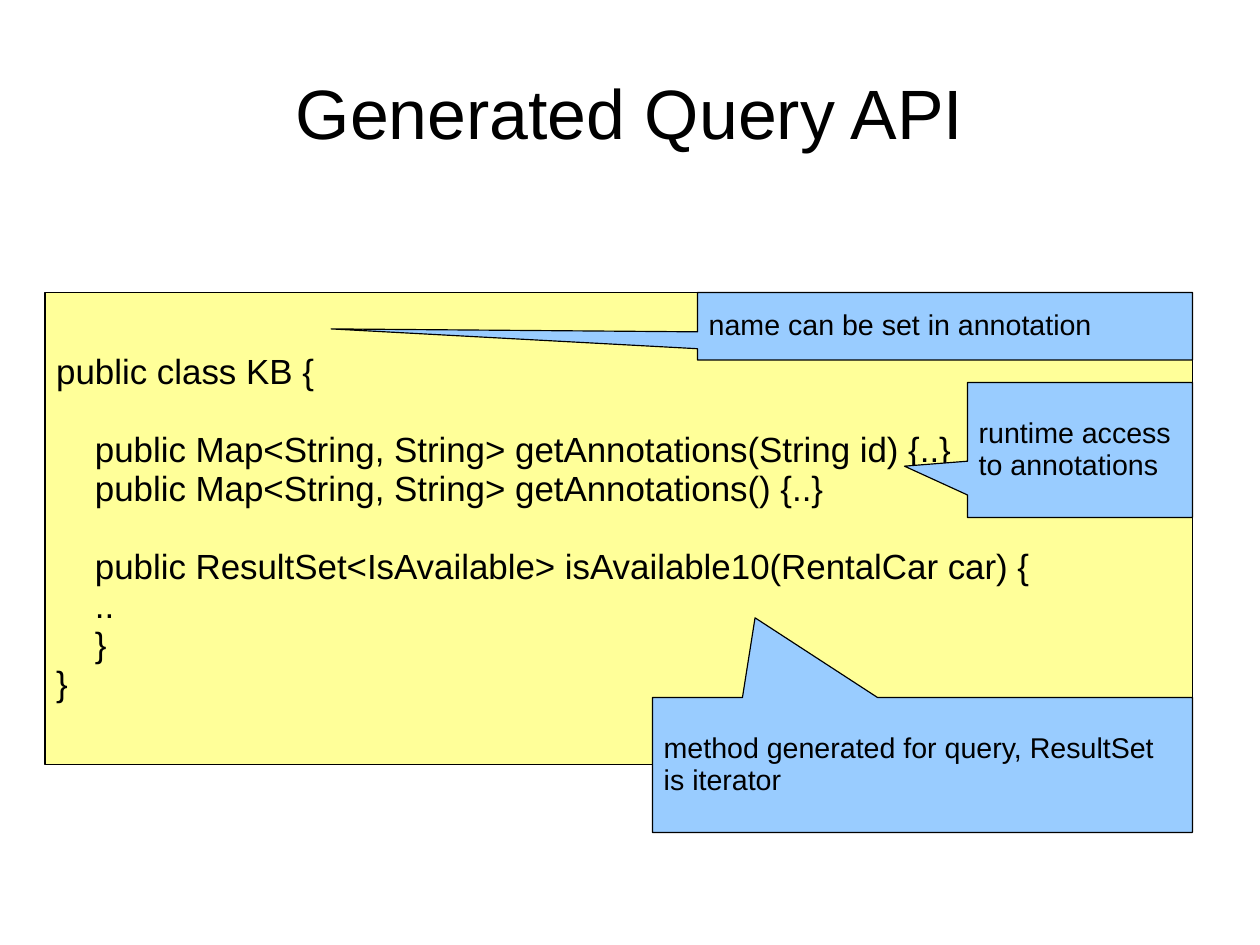
from pptx import Presentation
from pptx.dml.color import RGBColor
from pptx.enum.shapes import MSO_SHAPE as Shape
from pptx.enum.text import MSO_ANCHOR as Anchor, PP_ALIGN as Align
from pptx.util import Cm, Pt

COLORS = {"text": "000000", "line": "000000", "code": "FFFF99", "callout": "99CCFF"}
FONT = "Arial"
LINE_SPACING = 0.93
CODE_SIZE = 22
CODE_INDENT = Cm(0.86)
BLANK_LINE = Pt(24.5)

# Text, indent level, whether a gap comes before the line
CODE_LINES = [
    ("public class KB {", 0, False),
    ("public Map<String, String> getAnnotations(String id) {..}", 1, True),
    ("public Map<String, String> getAnnotations() {..}", 1, False),
    ("public ResultSet<IsAvailable> isAvailable10(RentalCar car) {", 1, True),
    ("..", 1, False),
    ("}", 1, False),
    ("}", 0, False),
]

# Text, left, top, width and height in cm, pointer tip relative to the centre
CALLOUTS = [
    ("name can be set in annotation", (15.5, 6.5, 11, 1.5), (-1.24, 0.04)),
    ("runtime access to annotations", (21.5, 8.5, 5, 3), (-0.78, 0.12)),
    ("method generated for query, ResultSet is iterator",
     (14.5, 15.5, 12, 3), (-0.31, -1.09)),
]


def color(name):
    return RGBColor.from_string(COLORS[name])


def format_paragraph(para, size, align=Align.LEFT):
    para.alignment = align
    para.line_spacing = LINE_SPACING
    for span in para.runs:
        span.font.name = FONT
        span.font.size = Pt(size)
        span.font.color.rgb = color("text")


def set_title(page, text):
    title = page.shapes.title
    title.left, title.top, title.width, title.height = map(Cm, (1.4, 0.84, 25.2, 3.5))
    frame = title.text_frame
    frame.text = text
    frame.vertical_anchor = Anchor.MIDDLE
    frame.margin_left = frame.margin_right = frame.margin_top = frame.margin_bottom = 0
    format_paragraph(frame.paragraphs[0], 44, Align.CENTER)


def add_box(page, kind, bounds, fill):
    box = page.shapes.add_shape(kind, *map(Cm, bounds))
    box.shadow.inherit = False
    box.fill.solid()
    box.fill.fore_color.rgb = color(fill)
    box.line.color.rgb = color("line")
    box.line.width = Pt(0.75)
    frame = box.text_frame
    frame.word_wrap = True
    frame.vertical_anchor = Anchor.MIDDLE
    frame.margin_left = frame.margin_right = Cm(0.25)
    frame.margin_top = frame.margin_bottom = Cm(0.13)
    return box


def add_code(page, bounds, lines):
    frame = add_box(page, Shape.RECTANGLE, bounds, "code").text_frame
    frame.text = "\n".join(text for text, _, _ in lines)
    for para, (_, level, gap) in zip(frame.paragraphs, lines):
        format_paragraph(para, CODE_SIZE)
        properties = para._p.get_or_add_pPr()
        properties.set("marL", str(level * CODE_INDENT))
        properties.set("indent", "0")
        if gap:
            para.space_before = BLANK_LINE


def add_callout(page, text, bounds, tip):
    box = add_box(page, Shape.RECTANGULAR_CALLOUT, bounds, "callout")
    box.adjustments[0], box.adjustments[1] = tip
    box.text_frame.text = text
    format_paragraph(box.text_frame.paragraphs[0], 18)


def main():
    deck = Presentation()
    deck.slide_width, deck.slide_height = Cm(28), Cm(21)
    page = deck.slides.add_slide(deck.slide_layouts[5])

    # Title
    set_title(page, "Generated Query API")

    # Code listing
    add_code(page, (1, 6.5, 25.5, 10.5), CODE_LINES)

    # Explanations
    for text, bounds, tip in CALLOUTS:
        add_callout(page, text, bounds, tip)

    deck.save("out.pptx")


if __name__ == "__main__":
    main()
